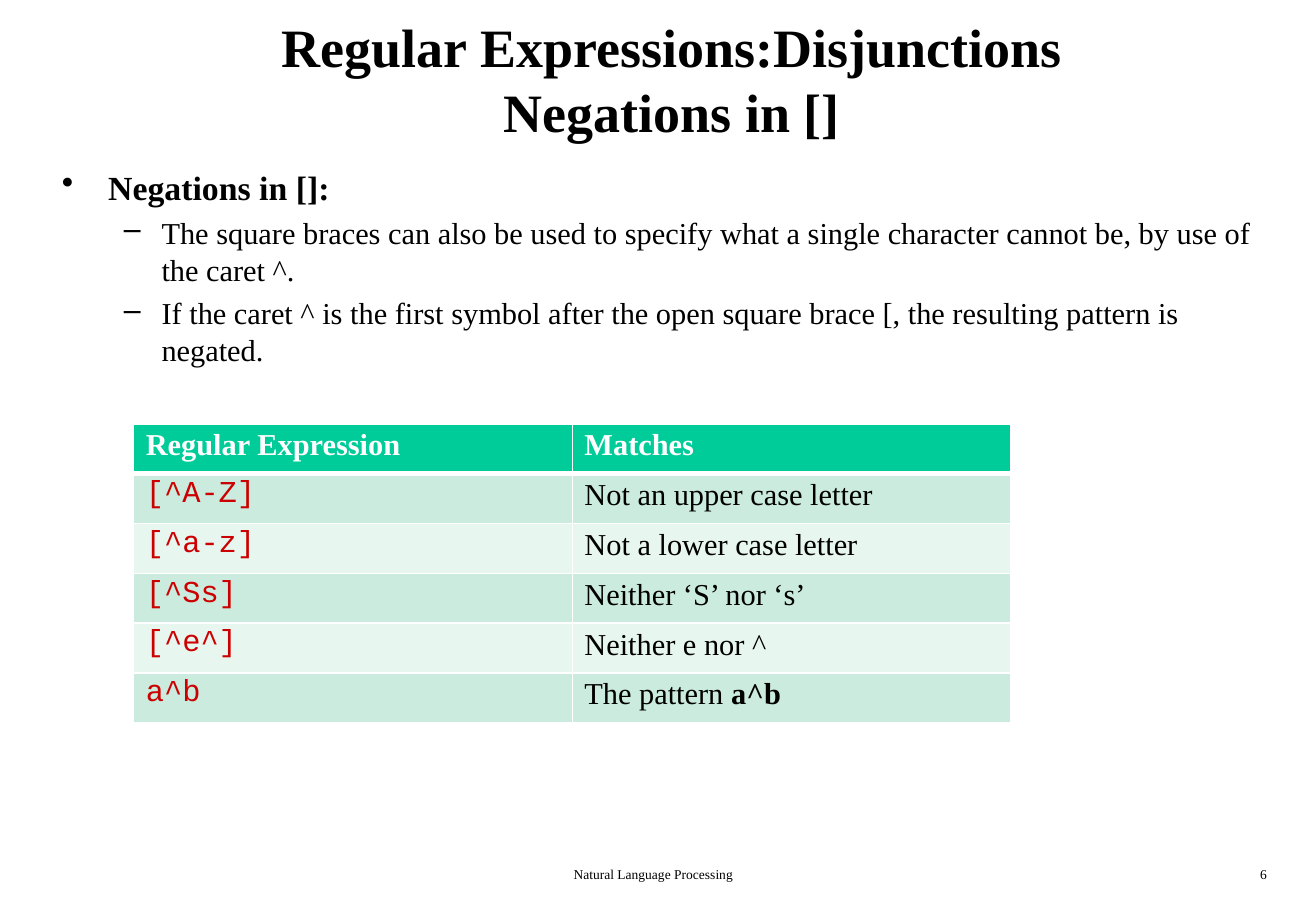
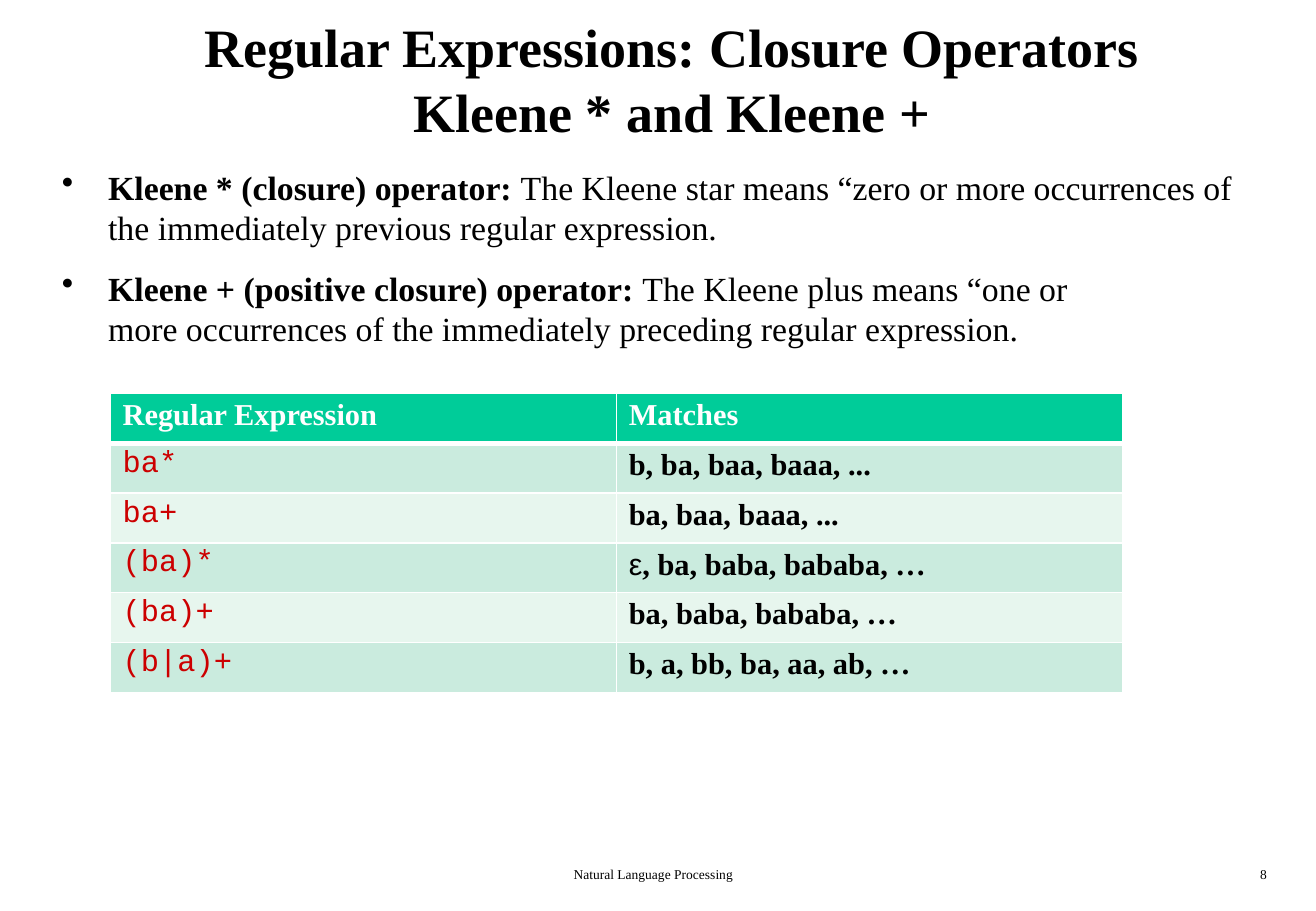
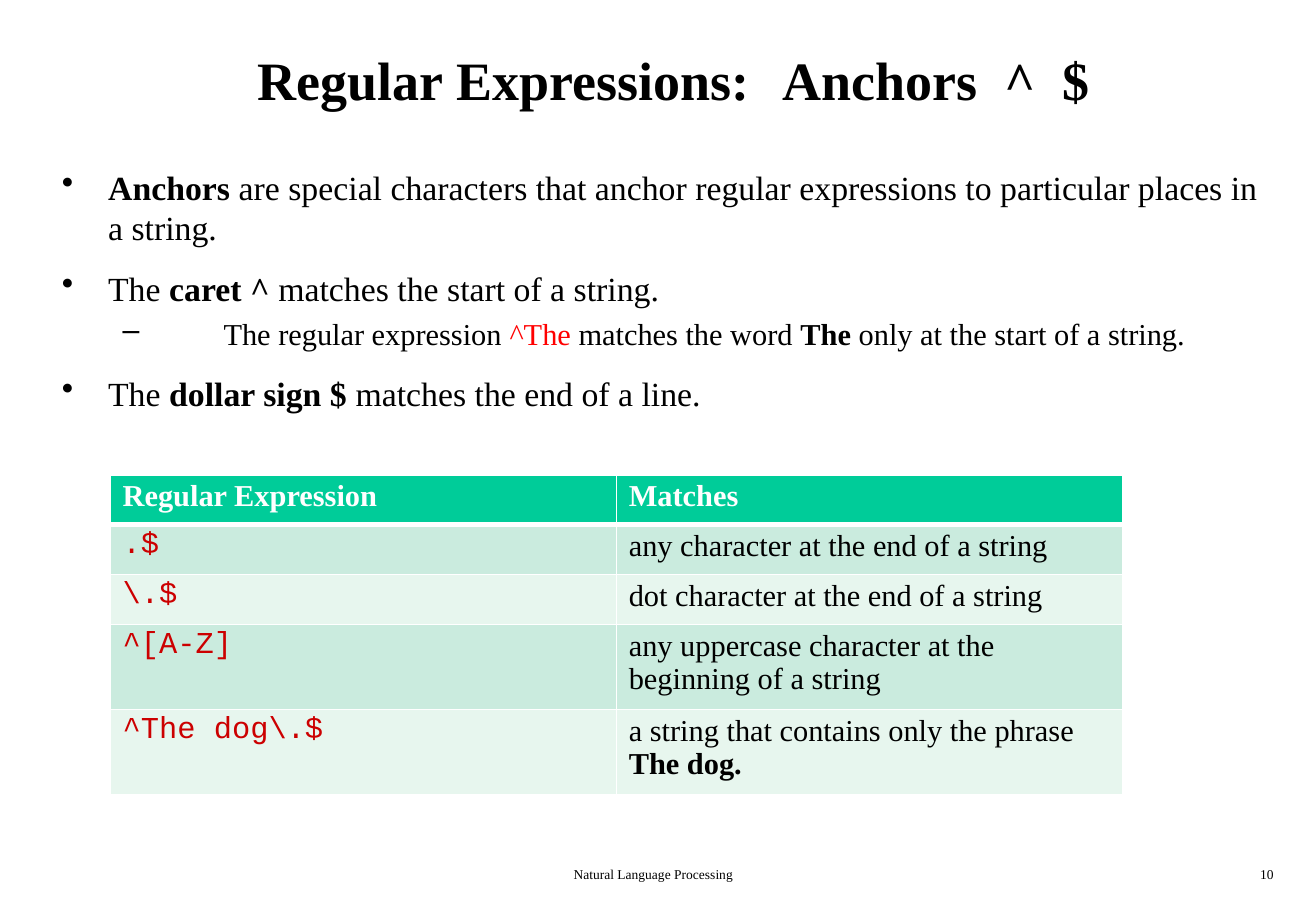
import pptx
import pptx.util
import pptx.dml.color
import pptx.enum.text
import pptx.oxml.ns
from dataclasses import dataclass
from lxml import etree

Inches, Pt = pptx.util.Inches, pptx.util.Pt


@dataclass(frozen=True)
class Theme:
    serif: str = "Times New Roman"
    mono: str = "Courier New"
    sans: str = "Arial"
    ink: str = "000000"
    white: str = "FFFFFF"
    code: str = "CC0000"
    red: str = "FF0000"
    head: str = "00CC99"
    bands: tuple = ("CAEBDE", "E7F6EE")
    title: int = 32
    body: int = 20
    small: int = 18
    foot: int = 8


T = Theme()

# Run styles: font, colour, bold
STYLES = {
    "text": (T.serif, T.ink, False),
    "bold": (T.serif, T.ink, True),
    "red": (T.serif, T.red, False),
    "head": (T.serif, T.white, True),
    "code": (T.mono, T.code, False),
    "sans": (T.sans, T.ink, False),
}

# Bullet levels: sign, left margin, indent, size, space before
LEVELS = {
    "main": ("•", 0.39, -0.38, T.body, 12),
    "sub": ("–", 0.83, -0.31, T.small, 4.4),
    "far": ("–", 1.34, -0.83, T.small, 4.4),
}

FOOTER = "Natural Language Processing"
HEADER = ("Regular Expression", "Matches")

# A paragraph is a list of (text, style) runs; a cell is a list of paragraphs.
SLIDES = [
    {
        "page": 6,
        "title": "Regular Expressions:Disjunctions\nNegations in []",
        "body": [
            ("main", [("Negations in []:", "bold")]),
            ("sub", [("The square braces can also be used to specify what a single "
                      "character cannot be, by use of the caret ^.", "text")]),
            ("sub", [("If the caret ^ is the first symbol after the open square "
                      "brace [, the resulting pattern is negated.", "text")]),
        ],
        "table": (1.1, 3.49, 7.22),
        "rows": [
            ("[^A-Z]", [[("Not an upper case letter", "text")]]),
            ("[^a-z]", [[("Not a lower case letter", "text")]]),
            ("[^Ss]", [[("Neither ‘S’ nor ‘s’", "text")]]),
            ("[^e^]", [[("Neither e nor ^", "text")]]),
            ("a^b", [[("The pattern ", "text"), ("a^b", "bold")]]),
        ],
    },
    {
        "page": 8,
        "title": "Regular Expressions: Closure Operators\nKleene * and Kleene +",
        "body": [
            ("main", [("Kleene * (closure) operator: ", "bold"),
                      ("The Kleene star means “zero or more occurrences of the "
                       "immediately previous regular expression.", "text")]),
            ("main", [("Kleene + (positive closure) operator: ", "bold"),
                      ("The Kleene plus means “one or\nmore occurrences of the "
                       "immediately preceding regular expression.", "text")]),
        ],
        "table": (0.91, 3.24, 8.33),
        "rows": [
            ("ba*", [[("b, ba, baa, baaa, ...", "bold")]]),
            ("ba+", [[("ba, baa, baaa, ...", "bold")]]),
            ("(ba)*", [[("ε", "sans"), (", ba, baba, bababa, …", "bold")]]),
            ("(ba)+", [[("ba, baba, bababa, …", "bold")]]),
            ("(b|a)+", [[("b, a, bb, ba, aa, ab, …", "bold")]]),
        ],
    },
    {
        "page": 10,
        "title": "Regular Expressions:\tAnchors\t^\t$",
        "tabs": (4.32, 6.15, 6.62),
        "body": [
            ("main", [("Anchors ", "bold"),
                      ("are special characters that anchor regular expressions to "
                       "particular places in a string.", "text")]),
            ("main", [("The ", "text"), ("caret ^ ", "bold"),
                      ("matches the start of a string.", "text")]),
            ("far", [("The regular expression ", "text"), ("^The ", "red"),
                     ("matches the word ", "text"), ("The ", "bold"),
                     ("only at the start of a string.", "text")]),
            ("main", [("The ", "text"), ("dollar sign $ ", "bold"),
                      ("matches the end of a line.", "text")]),
        ],
        "table": (0.91, 3.91, 8.33),
        "rows": [
            (".$", [[("any character at the end of a string", "text")]]),
            ("\\.$", [[("dot character at the end of a string", "text")]]),
            ("^[A-Z]", [[("any uppercase character at the beginning of a string",
                          "text")]]),
            ("^The dog\\.$", [[("a string that contains only the phrase", "text")],
                              [("The dog.", "bold")]]),
        ],
        "tall": (3, 4),
    },
]


def rgb(code):
    return pptx.dml.color.RGBColor.from_string(code)


def node(parent, tag, **attrs):
    return etree.SubElement(parent, pptx.oxml.ns.qn("a:" + tag), attrs)


def emu(size):
    return str(int(Inches(size)))


def write(para, runs, size):
    """Add styled runs; a newline in a run becomes a line break."""
    for text, style in runs:
        face, color, bold = STYLES[style]
        for i, part in enumerate(text.split("\n")):
            if i:
                para.add_line_break()
            run = para.add_run()
            run.text = part
            run.font.name, run.font.size, run.font.bold = face, Pt(size), bold
            run.font.color.rgb = rgb(color)


def add_box(slide, left, top, width, height, wrap=True):
    frame = slide.shapes.add_textbox(*map(Inches, (left, top, width, height))).text_frame
    frame.margin_left = frame.margin_right = frame.margin_top = frame.margin_bottom = 0
    frame.word_wrap = wrap
    return frame


def paras(frame, count):
    """Return the first paragraph and as many new ones as are needed."""
    return [frame.paragraphs[0]] + [frame.add_paragraph() for _ in range(count - 1)]


def add_title(slide, text, tabs):
    if tabs:
        para = add_box(slide, 2.12, 0.38, 6.85, 0.56).paragraphs[0]
        stops = node(para._p.get_or_add_pPr(), "tabLst")
        for pos in tabs:
            node(stops, "tab", pos=emu(pos), algn="l")
    else:
        para = add_box(slide, 1.22, 0.11, 8.62, 1.1).paragraphs[0]
        para.alignment = pptx.enum.text.PP_ALIGN.CENTER
    write(para, [(text, "bold")], T.title)


def add_body(slide, items):
    frame = add_box(slide, 0.5, 1.37, 9.9, 1.75)
    for i, (para, (level, runs)) in enumerate(zip(paras(frame, len(items)), items)):
        sign, left, indent, size, gap = LEVELS[level]
        props = para._p.get_or_add_pPr()
        props.set("marL", emu(left))
        props.set("indent", emu(indent))
        node(props, "buChar", char=sign)
        if i:
            para.space_before = Pt(gap)
        write(para, runs, size)


def edge(cell, **widths):
    """Draw white cell borders of the given widths in points."""
    props = cell._tc.get_or_add_tcPr()
    for i, side in enumerate(("lnL", "lnR", "lnT", "lnB")):
        line = etree.Element(pptx.oxml.ns.qn("a:" + side),
                             w=str(int(Pt(widths.get(side, 1)))))
        node(node(line, "solidFill"), "srgbClr", val=T.white)
        props.insert(i, line)


def fill_cell(cell, content, color, top):
    cell.margin_left, cell.margin_top = Inches(0.1), Inches(top)
    cell.margin_right = cell.margin_bottom = 0
    cell.fill.solid()
    cell.fill.fore_color.rgb = rgb(color)
    for para, runs in zip(paras(cell.text_frame, len(content)), content):
        write(para, runs, T.small)


def add_grid(slide, place, rows, tall):
    left, top, width = place
    lines = [[[[(name, "head")]] for name in HEADER]]
    lines += [([[(code, "code")]], match) for code, match in rows]
    highs = [0.7 if r in tall else 0.41 for r in range(len(lines))]
    table = slide.shapes.add_table(
        len(lines), 2, *map(Inches, (left, top, width, sum(highs)))).table
    for col in table.columns:
        col.width = Inches(width / 2)
    for r, (line, high) in enumerate(zip(lines, highs)):
        table.rows[r].height = Inches(high)
        color = T.bands[(r - 1) % 2] if r else T.head
        for c, content in enumerate(line):
            cell = table.cell(r, c)
            fill_cell(cell, content, color, 0.03 if r and c == 0 else 0.04)
            edge(cell, lnT=3 if r == 1 else 1, lnB=1 if r else 3)


def add_footer(slide, page):
    for left, width, text in ((4.72, 1.33, FOOTER), (10.37, 0.2, str(page))):
        frame = add_box(slide, left, 7.13, width, 0.15, wrap=False)
        write(frame.paragraphs[0], [(text, "text")], T.foot)


def main():
    deck = pptx.Presentation()
    deck.slide_width, deck.slide_height = Inches(10.83), Inches(7.5)
    for data in SLIDES:
        slide = deck.slides.add_slide(deck.slide_layouts[6])
        add_footer(slide, data["page"])
        add_body(slide, data["body"])
        add_title(slide, data["title"], data.get("tabs"))
        add_grid(slide, data["table"], data["rows"], data.get("tall", ()))
    deck.save("out.pptx")


if __name__ == "__main__":
    main()
